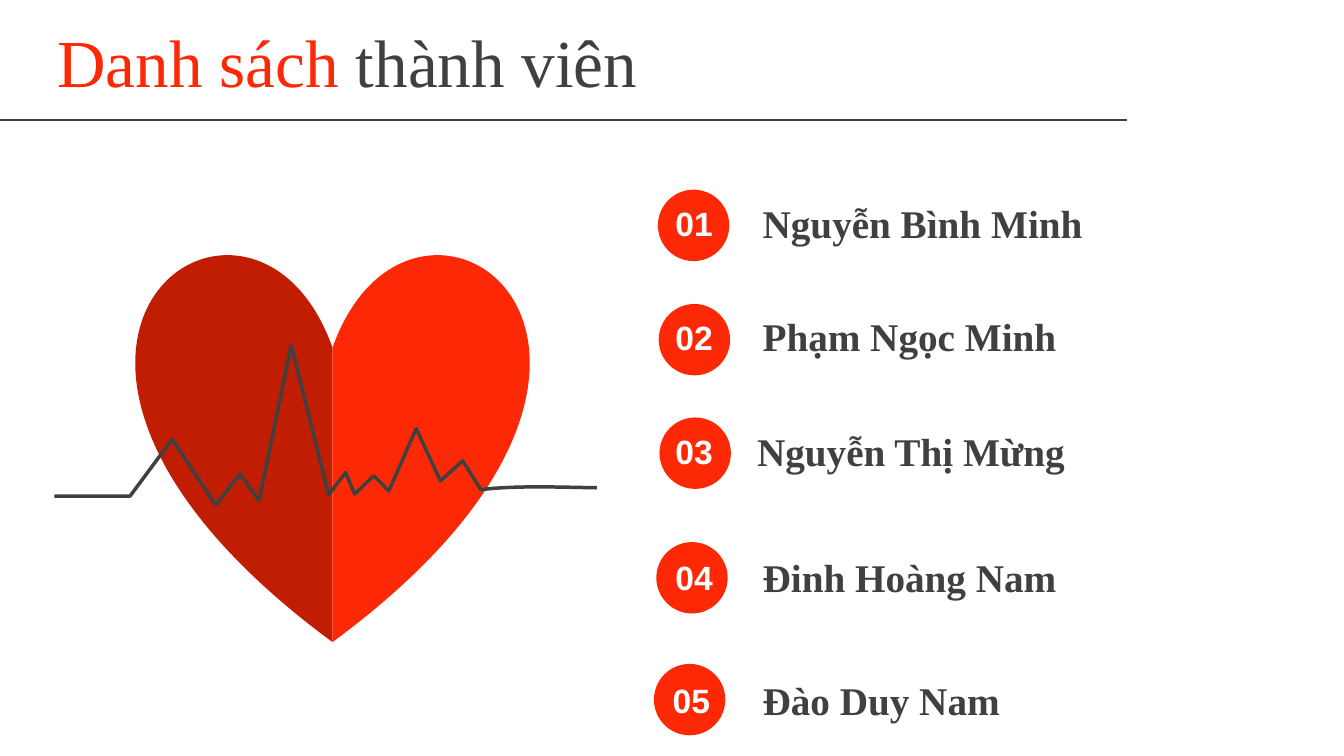
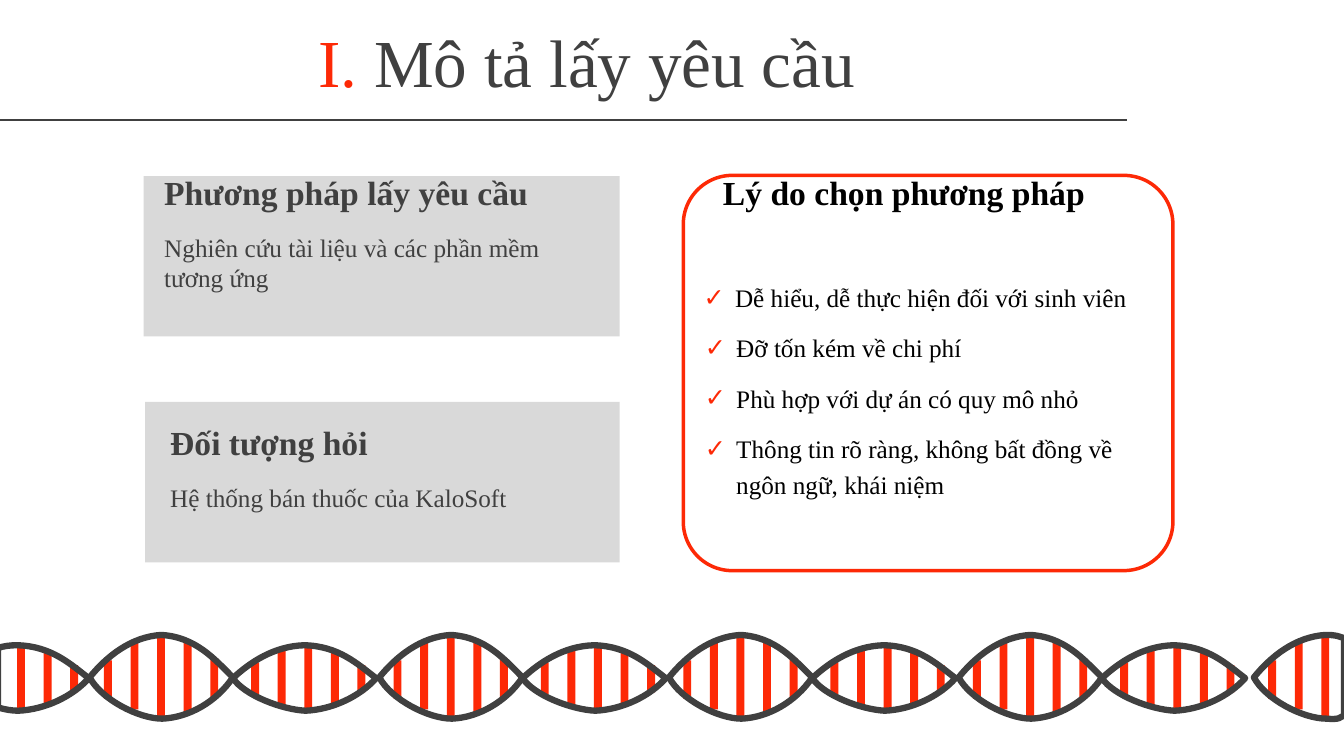
"""Build a member list slide and a requirements slide on a shared master."""
from dataclasses import dataclass
from typing import NamedTuple, Optional

from lxml import etree
from pptx import Presentation
from pptx import slide as sl
from pptx import util as u
from pptx.dml.color import RGBColor
from pptx.enum import shapes, text
from pptx.oxml import ns
from pptx.shapes import autoshape
from pptx.text import text as tx


class Style(NamedTuple):
    font: str
    size: int
    color: str
    bold: bool = False


@dataclass(frozen=True)
class Theme:
    red: str = "FD2906"
    dark_red: str = "C11D02"
    gray: str = "404040"
    panel: str = "D9D9D9"
    title: Style = Style("Times New Roman", 48, "404040")
    name: Style = Style("Times New Roman", 28, "404040", True)
    badge: Style = Style("Arial", 24, "FFFFFF", True)
    heading: Style = Style("Times New Roman", 24, "404040", True)
    frame_heading: Style = Style("Times New Roman", 24, "000000", True)
    body: Style = Style("Times New Roman", 18, "404040")
    bullet: Style = Style("Times New Roman", 18, "000000")


class Box(NamedTuple):
    left: float
    top: float
    width: float
    height: float

    def lengths(self) -> list[u.Length]:
        return [u.Cm(value) for value in self]


class Point(NamedTuple):
    x: float
    y: float


Segment = tuple[Point, ...]


@dataclass(frozen=True)
class Member:
    name: str
    badge: Point
    number: Point
    label: Point


@dataclass(frozen=True)
class Panel:
    box: Box
    heading: str
    heading_box: Box
    lines: tuple[str, ...]


@dataclass(frozen=True)
class Lens:
    outline: tuple[float, ...]
    first_bar: float
    bars: tuple[tuple[float, float], ...]


THEME = Theme()
WIDTH, HEIGHT = 33.87, 19.05
BADGE_SIZE = 1.8
BAR_WIDTH, BAR_STEP = 0.2, 0.67
HELIX_PERIOD = 7.3
LENS_X = (0, 0.43, 1.04, 1.8, 2.67, 3.15, 3.61, 3.2, 2.51, 1.83, 1.24, 0.3, 0)
WIDE_LENS = Lens(
    (17.07, 16.54, 16.05, 16, 16.05, 16.61, 17.07, 17.68, 18.08, 18.11, 18.11, 17.63, 17.07),
    0.36,
    ((16.64, 0.97), (16.15, 1.73), (16, 2.06), (16.15, 1.85), (16.59, 0.97)),
)
SLIM_LENS = Lens(
    (17.09, 16.69, 16.28, 16.26, 16.28, 16.74, 17.09, 17.55, 17.88, 17.91, 17.88, 17.53, 17.09),
    0.46,
    ((16.69, 0.81), (16.38, 1.4), (16.21, 1.68), (16.41, 1.4), (16.76, 0.69)),
)
MEMBERS = (
    Member("Nguyễn Bình Minh", Point(16.58, 4.78), Point(16.48, 4.98), Point(18.97, 4.9)),
    Member("Phạm Ngọc Minh", Point(16.6, 7.66), Point(16.48, 7.85), Point(18.97, 7.75)),
    Member("Nguyễn Thị Mừng", Point(16.62, 10.52), Point(16.48, 10.74), Point(18.83, 10.64)),
    Member("Đinh Hoàng Nam", Point(16.54, 13.66), Point(16.48, 13.92), Point(18.97, 13.82)),
    Member("Đào Duy Nam", Point(16.48, 16.73), Point(16.41, 17), Point(18.97, 16.92)),
)
PANELS = (
    Panel(Box(3.62, 4.44, 12, 4.04), "Phương pháp lấy yêu cầu", Box(3.89, 4.2, 11.91, 1.27),
          ("Nghiên cứu tài liệu và các phần mềm", "tương ứng")),
    Panel(Box(3.66, 10.13, 11.96, 4.04), "Đối tượng hỏi", Box(4.04, 10.5, 11.73, 1.27),
          ("Hệ thống bán thuốc của KaloSoft",)),
)
REASONS = (
    "Dễ hiểu, dễ thực hiện đối với sinh viên",
    "Đỡ tốn kém về chi phí",
    "Phù hợp với dự án có quy mô nhỏ",
    "Thông tin rõ ràng, không bất đồng về ngôn ngữ, khái niệm",
)


def rgb(color: str) -> RGBColor:
    return RGBColor.from_string(color)


def paint(shape: autoshape.Shape, fill: Optional[str] = None,
          line: Optional[str] = None, weight: float = 0) -> None:
    shape.shadow.inherit = False
    if fill:
        shape.fill.solid()
        shape.fill.fore_color.rgb = rgb(fill)
    else:
        shape.fill.background()
    if line:
        shape.line.color.rgb = rgb(line)
        shape.line.width = u.Pt(weight)
    else:
        shape.line.fill.background()


def set_font(paragraph: tx._Paragraph, style: Style) -> None:
    font = paragraph.font
    font.name, font.size, font.bold = style.font, u.Pt(style.size), style.bold
    font.color.rgb = rgb(style.color)


def add_text(slide: sl.Slide, box: Box, lines: tuple[str, ...], style: Style,
             align: text.PP_ALIGN = text.PP_ALIGN.LEFT) -> None:
    frame = slide.shapes.add_textbox(*box.lengths()).text_frame
    frame.word_wrap = True
    frame.text = "\n".join(lines)
    for paragraph in frame.paragraphs:
        paragraph.alignment = align
        set_font(paragraph, style)


def add_preset(slide: sl.Slide, kind: shapes.MSO_SHAPE, box: Box, fill: Optional[str] = None,
               line: Optional[str] = None, weight: float = 0) -> autoshape.Shape:
    shape = slide.shapes.add_shape(kind, *box.lengths())
    paint(shape, fill, line, weight)
    return shape


def points_of(*pairs: tuple[float, float]) -> Segment:
    return tuple(Point(*pair) for pair in pairs)


def curves(points: Segment) -> list[Segment]:
    return [points[first:first + 3] for first in range(0, len(points), 3)]


def lines(points: Segment) -> list[Segment]:
    return [(point,) for point in points]


def add_outline(slide: sl.Slide, start: Point, segments: list[Segment], closed: bool,
                fill: Optional[str] = None, line: Optional[str] = None, weight: float = 0) -> None:
    """Draw lines from segments of one point and cubic curves from segments of three."""
    builder = slide.shapes.build_freeform(u.Cm(start.x), u.Cm(start.y))
    builder.add_line_segments([(u.Cm(point.x), u.Cm(point.y))
                               for segment in segments for point in segment], close=closed)
    shape = builder.convert_to_shape()
    steps = iter(shape.element.xpath(".//a:path/a:lnTo"))
    for segment in segments:
        first, *others = [next(steps) for _ in segment]
        if others:
            first.tag = ns.qn("a:cubicBezTo")
        for step in others:
            first.append(step[0])
            step.getparent().remove(step)
    paint(shape, fill, line, weight)


def place(shape: autoshape.Shape, box: Box) -> None:
    shape.left, shape.top, shape.width, shape.height = box.lengths()
    shape.text_frame.auto_size = text.MSO_AUTO_SIZE.NONE
    shape.text_frame.word_wrap = True


def set_title(slide: sl.Slide, accent: str, rest: str, align: text.PP_ALIGN) -> None:
    title = slide.shapes.title
    place(title, Box(1.19, 0.46, 27.2, 2.13))
    title.text_frame.vertical_anchor = text.MSO_ANCHOR.MIDDLE
    paragraph = title.text_frame.paragraphs[0]
    paragraph.alignment = align
    paragraph.space_before = u.Pt(10)
    set_font(paragraph, THEME.title)
    for words, color in ((accent, THEME.red), (rest, THEME.gray)):
        run = paragraph.add_run()
        run.text = words
        run.font.color.rgb = rgb(color)


def add_master_rule(presentation: Presentation, slide: sl.Slide) -> None:
    """Draw the title rule and move it to the master."""
    rule = slide.shapes.add_connector(shapes.MSO_CONNECTOR.STRAIGHT,
                                      u.Cm(-0.03), u.Cm(3.02), u.Cm(28.4), u.Cm(3.02))
    rule.line.color.rgb = rgb(THEME.gray)
    rule.line.width = u.Pt(1.5)
    etree.SubElement(rule.element.spPr, ns.qn("a:effectLst"))
    rule.element.xpath("./p:nvCxnSpPr/p:cNvPr")[0].set("id", "20")
    presentation.slide_master.shapes.element.append(rule.element)


def add_heart(slide: sl.Slide) -> None:
    """Draw the left half and its mirror image."""
    axis = 8.38
    start = Point(5.77, 6.43)
    half = [
        points_of((6.76, 6.45), (7.8, 7.14), (axis, 8.76)),
        points_of((axis, 16.18)),
        points_of((4.67, 13.45), (3.41, 10.94), (3.41, 9.15)),
        points_of((3.41, 7.45), (4.54, 6.41), start),
    ]
    add_outline(slide, start, half, True, THEME.dark_red)
    mirrored = [tuple(Point(2 * axis - x, y) for x, y in segment) for segment in half]
    add_outline(slide, mirrored[-1][-1], mirrored, True, THEME.red)


def add_pulse(slide: sl.Slide) -> None:
    beats = points_of(
        (3.28, 12.5), (4.34, 11.07), (5.44, 12.73), (6.05, 11.94), (6.53, 12.62),
        (7.34, 8.69), (8.28, 12.47), (8.71, 11.91), (8.94, 12.45), (9.42, 11.99), (9.8, 12.37),
        (10.49, 10.8), (11.1, 12.12), (11.66, 11.61), (12.12, 12.34))
    tail = points_of((13.03, 12.22), (14.45, 12.29), (15.04, 12.29))
    add_outline(slide, Point(1.37, 12.5), lines(beats) + [tail], False,
                line=THEME.gray, weight=2.5)


def add_member(slide: sl.Slide, number: int, member: Member) -> None:
    add_preset(slide, shapes.MSO_SHAPE.OVAL,
               Box(*member.badge, BADGE_SIZE, BADGE_SIZE), THEME.red)
    add_text(slide, Box(*member.number, 2.03, 1.27), (f"{number:02}",), THEME.badge,
             text.PP_ALIGN.CENTER)
    add_text(slide, Box(*member.label, 13.16, 1.45), (member.name,), THEME.name)


def add_bars(slide: sl.Slide, lens: Lens, left: float) -> None:
    """Draw the bars of a lens that lie on the slide."""
    for index, (top, height) in enumerate(lens.bars):
        bar_left = left + lens.first_bar + index * BAR_STEP
        if 0 <= bar_left <= WIDTH - BAR_WIDTH:
            add_preset(slide, shapes.MSO_SHAPE.RECTANGLE,
                       Box(bar_left, top, BAR_WIDTH, height), THEME.red)


def lens_points(lens: Lens, left: float) -> Segment:
    return points_of(*((left + x, y) for x, y in zip(LENS_X, lens.outline)))


def add_helix(slide: sl.Slide) -> None:
    """Draw four full turns and the lenses cut by the slide edges."""
    first, last = -1.37, 31.6
    outlines = []
    for turn in range(4):
        for lens, start in ((WIDE_LENS, 2.26), (SLIM_LENS, 5.87)):
            left = start + turn * HELIX_PERIOD
            add_bars(slide, lens, left)
            points = lens_points(lens, left)
            outlines.append((points[0], curves(points[1:])))
    add_bars(slide, SLIM_LENS, first)
    add_bars(slide, WIDE_LENS, last)
    points = lens_points(SLIM_LENS, first)
    outlines.append((points[3], curves(points[4:10]) + [
        points_of((0.3, 17.91), (0.13, 17.88), (-0.05, 17.83)),
        points_of((-0.05, 16.33)),
        points_of((0.1, 16.28), (0.25, 16.26), points[3])]))
    points = lens_points(WIDE_LENS, last)
    outlines.append((points[0], curves(points[1:4]) + [
        points_of((33.68, 16), (33.71, 16.03), (WIDTH, 16.08)),
        points_of((WIDTH, 16.87), (WIDTH, 17.65), (WIDTH, 18.03)),
        points_of((33.78, 18.08), (33.76, 18.14), points[9])] + curves(points[10:])))
    for start, segments in outlines:
        add_outline(slide, start, segments, True, line=THEME.gray, weight=4.5)


def add_panel(slide: sl.Slide, panel: Panel) -> None:
    add_preset(slide, shapes.MSO_SHAPE.RECTANGLE, panel.box, THEME.panel)
    heading = panel.heading_box
    body = heading._replace(top=heading.top + 1.53, height=0.25 + 0.78 * len(panel.lines))
    add_text(slide, body, panel.lines, THEME.body)
    add_text(slide, heading, (panel.heading,), THEME.heading)


def set_bullet(paragraph: tx._Paragraph, mark: str, indent: float) -> None:
    properties = paragraph._p.get_or_add_pPr()
    properties.set("marL", str(u.Cm(indent)))
    properties.set("indent", str(u.Cm(-0.79)))
    color = etree.SubElement(properties, ns.qn("a:buClr"))
    etree.SubElement(color, ns.qn("a:srgbClr"), val=THEME.red)
    etree.SubElement(properties, ns.qn("a:buFont"), typeface="Arial")
    etree.SubElement(properties, ns.qn("a:buChar"), char=mark)


def add_reasons(slide: sl.Slide) -> None:
    frame = add_preset(slide, shapes.MSO_SHAPE.ROUNDED_RECTANGLE, Box(17.22, 4.42, 12.34, 9.96),
                       line=THEME.red, weight=2.5)
    frame.adjustments[0] = 0.124
    add_text(slide, Box(17.97, 4.2, 10.97, 1.27), ("Lý do chọn phương pháp",), THEME.frame_heading)
    reasons = slide.placeholders[1]
    place(reasons, Box(17.48, 6.84, 12.14, 6.71))
    reasons.text_frame.text = "\n".join(REASONS)
    for index, paragraph in enumerate(reasons.text_frame.paragraphs):
        set_bullet(paragraph, "✓", 0.82 if index else 0.79)
        paragraph.line_spacing = 1.2
        paragraph.space_before = u.Pt(10)
        set_font(paragraph, THEME.bullet)


def main() -> None:
    presentation = Presentation()
    presentation.slide_width, presentation.slide_height = u.Cm(WIDTH), u.Cm(HEIGHT)
    members = presentation.slides.add_slide(presentation.slide_layouts[5])
    add_master_rule(presentation, members)
    set_title(members, "Danh sách ", "thành viên", text.PP_ALIGN.LEFT)
    add_heart(members)
    add_pulse(members)
    for number, member in enumerate(MEMBERS, 1):
        add_member(members, number, member)
    requirements = presentation.slides.add_slide(presentation.slide_layouts[1])
    set_title(requirements, "I. ", "Mô tả lấy yêu cầu", text.PP_ALIGN.CENTER)
    add_helix(requirements)
    for panel in PANELS:
        add_panel(requirements, panel)
    add_reasons(requirements)
    presentation.save("out.pptx")


if __name__ == "__main__":
    main()
